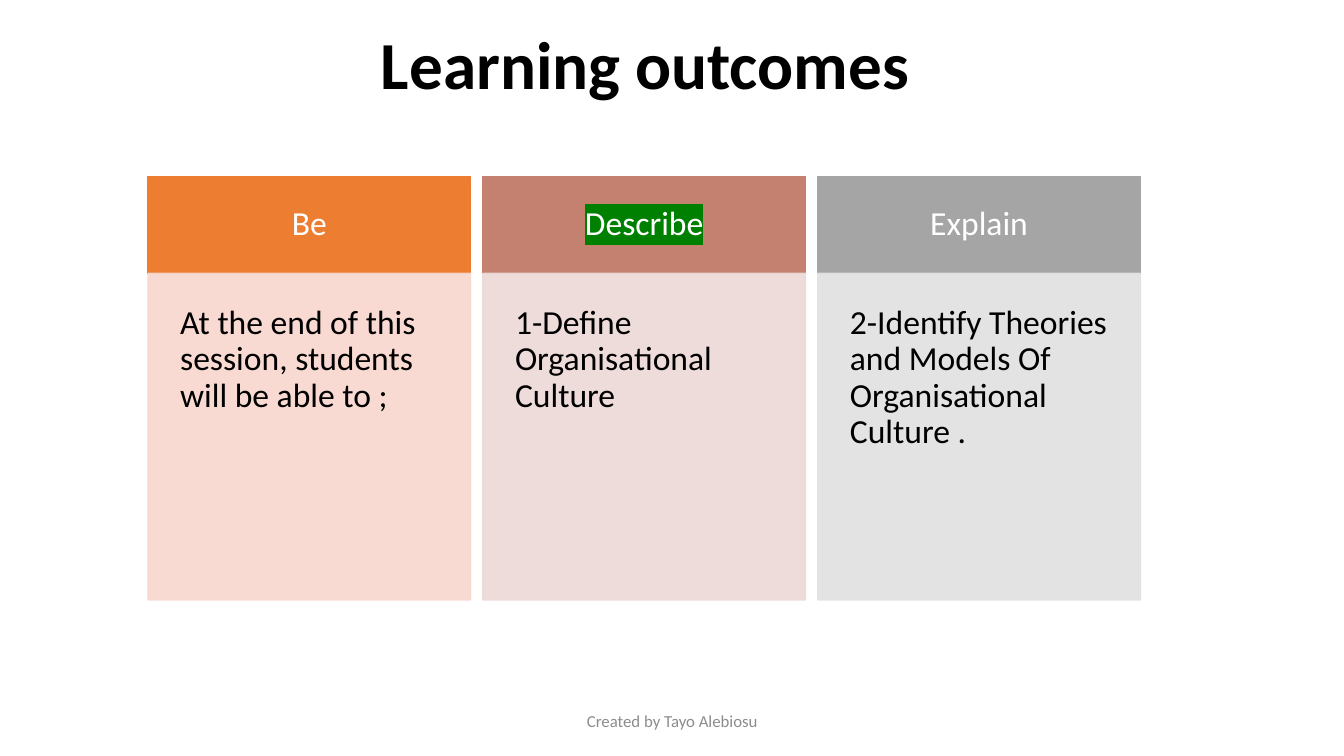
from lxml import etree
from pptx import Presentation
from pptx import util as u
from pptx.dml.color import RGBColor
from pptx.enum import shapes, text
from pptx.oxml.ns import qn

BLACK = RGBColor(0x00, 0x00, 0x00)
WHITE = RGBColor(0xFF, 0xFF, 0xFF)
FOOTER_GREY = RGBColor(0x8C, 0x8C, 0x8C)
GREEN = RGBColor(0x00, 0x80, 0x00)
ORANGE = RGBColor(0xED, 0x7D, 0x31)
PEACH = RGBColor(0xF8, 0xD7, 0xCE)
CLAY = RGBColor(0xC4, 0x81, 0x70)
ROSE = RGBColor(0xED, 0xD9, 0xD7)
GREY = RGBColor(0xA5, 0xA5, 0xA5)
PALE_GREY = RGBColor(0xE1, 0xE1, 0xE1)

COLUMNS = [
    ("Be", ORANGE, None, "At the end of this session, students will be able to ;", PEACH),
    ("Describe", CLAY, GREEN, "1-Define Organisational Culture", ROSE),
    ("Explain", GREY, None, "2-Identify Theories and Models Of Organisational Culture .", PALE_GREY),
]
COLUMN_LEFT, COLUMN_STEP, COLUMN_WIDTH = 3.73, 8.44, 8.13
HEADER_TOP, HEADER_HEIGHT, BODY_HEIGHT = 4.45, 2.44, 8.23

LEFT, CENTER = text.PP_ALIGN.LEFT, text.PP_ALIGN.CENTER
TOP, MIDDLE = text.MSO_ANCHOR.TOP, text.MSO_ANCHOR.MIDDLE


class SlideBuilder:
    font_name = "Calibri"

    def __init__(self, page):
        self.page = page

    def fill_text(self, box, words, color, size=24, bold=False, align=LEFT,
                  anchor=MIDDLE, inset=None, spacing=0.9, highlight=None):
        frame = box.text_frame
        frame.word_wrap = True
        frame.vertical_anchor = anchor
        if inset is not None:
            for side in ("left", "top", "right", "bottom"):
                setattr(frame, f"margin_{side}", u.Cm(inset))
        para = frame.paragraphs[0]
        para.alignment = align
        para.line_spacing = spacing
        span = para.add_run()
        span.text = words
        style = {"name": self.font_name, "size": u.Pt(size), "bold": bold}
        for name, value in style.items():
            setattr(span.font, name, value)
        span.font.color.rgb = color
        if highlight is not None:
            mark = etree.Element(qn("a:highlight"))
            etree.SubElement(mark, qn("a:srgbClr"), val=str(highlight))
            span.font._element.find(qn("a:solidFill")).addnext(mark)

    def text_box(self, left, top, width, height, words, color, **style):
        box = self.page.shapes.add_textbox(*map(u.Cm, (left, top, width, height)))
        self.fill_text(box, words, color, **style)

    def panel(self, left, top, height, fill, words, color, opacity=100, **style):
        """Draw a column rectangle with its text; opacity is in percent."""
        box = self.page.shapes.add_shape(
            shapes.MSO_SHAPE.RECTANGLE, *map(u.Cm, (left, top, COLUMN_WIDTH, height)))
        box.shadow.inherit = False
        box.line.width = u.Pt(1)
        for paint in (box.fill, box.line.fill):
            paint.solid()
            paint.fore_color.rgb = fill
        if opacity < 100:
            for shade in box._element.spPr.iter(qn("a:srgbClr")):
                etree.SubElement(shade, qn("a:alpha"), val=str(opacity * 1000))
        self.fill_text(box, words, color, **style)


def main():
    deck = Presentation()
    deck.slide_width, deck.slide_height = u.Cm(33.87), u.Cm(19.05)
    builder = SlideBuilder(deck.slides.add_slide(deck.slide_layouts[6]))

    builder.text_box(9.35, 0.38, 15.98, 2.64, "Learning outcomes", BLACK, size=48, bold=True)
    for index, (verb, header_fill, highlight, outcome, body_fill) in enumerate(COLUMNS):
        left = COLUMN_LEFT + index * COLUMN_STEP
        builder.panel(left, HEADER_TOP, HEADER_HEIGHT, header_fill, verb, WHITE,
                      align=CENTER, inset=0.64, highlight=highlight)
        builder.panel(left, HEADER_TOP + HEADER_HEIGHT, BODY_HEIGHT, body_fill, outcome, BLACK,
                      opacity=90, anchor=TOP, inset=0.81)
    builder.text_box(11.23, 17.65, 11.43, 1.02, "Created by Tayo Alebiosu", FOOTER_GREY,
                     size=12, align=CENTER, spacing=1.0)

    deck.save("out.pptx")


if __name__ == "__main__":
    main()
